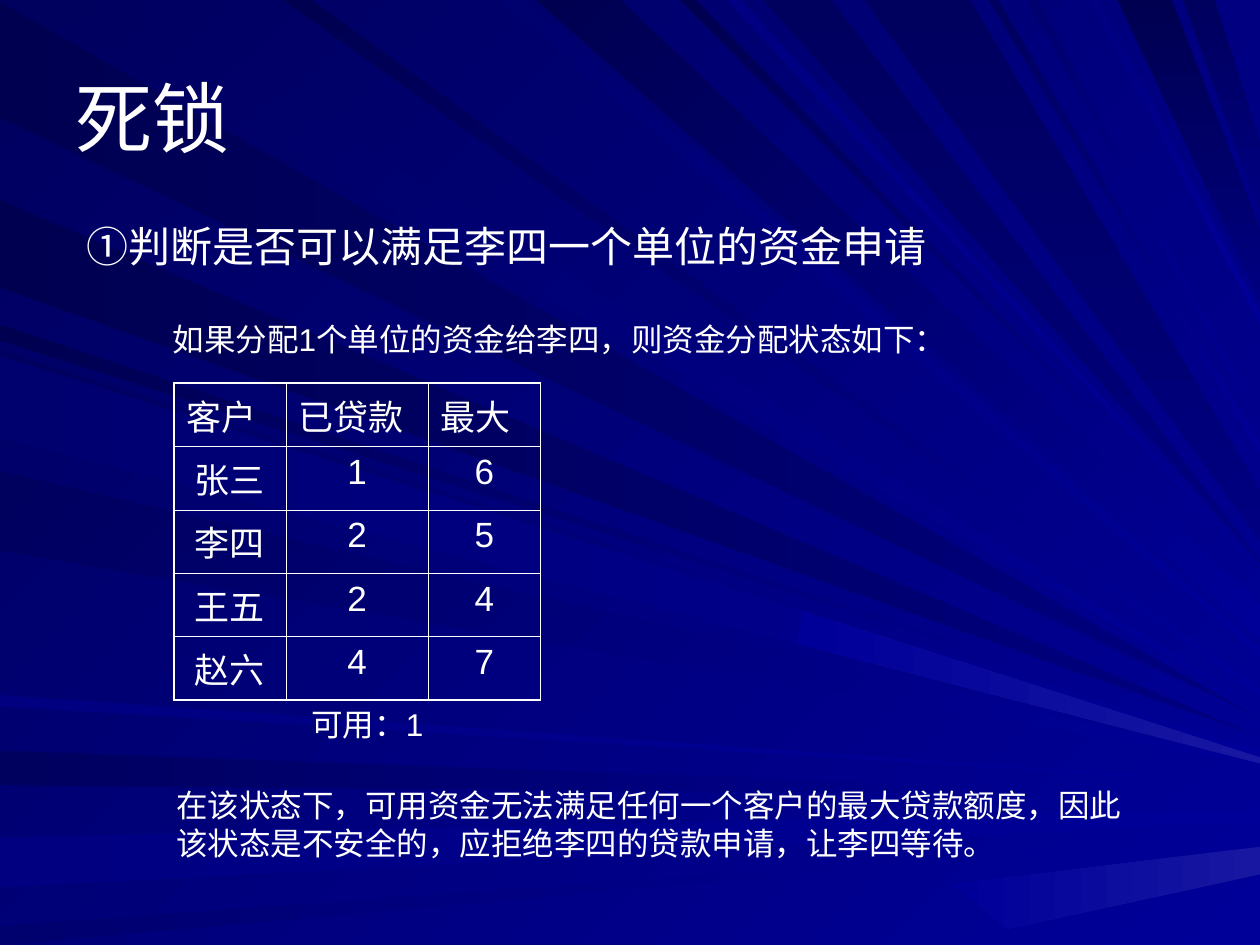
from lxml.etree import SubElement
from pptx import Presentation
from pptx.dml.color import RGBColor
from pptx.enum.text import MSO_ANCHOR, MSO_AUTO_SIZE, PP_ALIGN
from pptx.oxml.ns import qn
from pptx.util import Pt

PX = 9144  # EMU per px, 100 px to the inch
WIDTH, HEIGHT = 1000, 750
WHITE = RGBColor(0xFF, 0xFF, 0xFF)
GLOW = RGBColor(0x17, 0x17, 0xA2)
BRIGHT = RGBColor(0x00, 0x00, 0x99)
SOFT = RGBColor(0x00, 0x00, 0x80)
DIM = RGBColor(0x00, 0x00, 0x6F)
DEEP = RGBColor(0x00, 0x00, 0x5E)
DARK = RGBColor(0x00, 0x00, 0x50)
# Gradient directions, counter-clockwise
LEFT, UP_LEFT, DOWN = 180, 135, 270


def set_gradient(fill, start, end, angle):
    fill.gradient()
    fill.gradient_angle = angle
    for stop, color in zip(fill.gradient_stops, (start, end)):
        stop.color.rgb = color


def format_paragraph(paragraph, size, space_before=0, alignment=PP_ALIGN.LEFT):
    paragraph.alignment = alignment
    paragraph.space_before = Pt(space_before)
    for run in paragraph.runs:
        run.font.name = "Arial"
        run.font.size = Pt(size)
        run.font.color.rgb = WHITE


presentation = Presentation()
presentation.slide_width = WIDTH * PX
presentation.slide_height = HEIGHT * PX
slide = presentation.slides.add_slide(presentation.slide_layouts[6])

# Background
set_gradient(slide.background.fill, BRIGHT, DEEP, UP_LEFT)

# Light rays: both ends on the starting edge, then where they meet the right edge
left_rays = [
    ((2, 93, 570), SOFT, DARK, LEFT),
    ((596, 623, 632), BRIGHT, DEEP, LEFT),
    ((665, 704, 651, 643), BRIGHT, SOFT, LEFT),
    ((735, 750, 662), BRIGHT, DIM, LEFT),
    ((258, 270, 589), BRIGHT, DARK, UP_LEFT),
    ((159, 228, 585), SOFT, DARK, LEFT),
    ((278, 342, 602, 596), BRIGHT, DEEP, UP_LEFT),
    ((374, 437, 606), BRIGHT, DEEP, UP_LEFT),
    ((552, 560, 622), BRIGHT, SOFT, LEFT),
    ((283, 347, 606, 601), BRIGHT, DIM, LEFT),
]
top_rays = [
    ((26, 101, 562), BRIGHT, DEEP, UP_LEFT),
    ((398, 416, 515, 521), BRIGHT, DIM, UP_LEFT),
    ((426, 492, 479, 507), BRIGHT, DARK, UP_LEFT),
    ((540, 552, 463), BRIGHT, DARK, UP_LEFT),
    ((606, 660, 446), DEEP, SOFT, DOWN),
    ((887, 930, 183, 237), DARK, SOFT, DOWN),
    ((939, 964, 114, 167), DEEP, SOFT, DOWN),
    ((225, 247, 547, 552), BRIGHT, DARK, UP_LEFT),
    ((577, 588, 454), BRIGHT, SOFT, UP_LEFT),
    ((686, 770, 390, 428), DEEP, SOFT, DOWN),
    ((785, 792, 354, 360), BRIGHT, DEEP, UP_LEFT),
    ((815, 824, 336), BRIGHT, DIM, UP_LEFT),
    ((865, 872, 249, 258), BRIGHT, SOFT, UP_LEFT),
]
polygons = []
for rays, from_left in ((left_rays, True), (top_rays, False)):
    for (first, second, *tips), start, end, direction in rays:
        corners = [(0, edge) if from_left else (edge, 0) for edge in (first, second)]
        corners += [(WIDTH, tip) for tip in tips]
        polygons.append((corners, start, end, direction))

# Glowing ends of two rays at the right edge
polygons += [
    ([(756, 702), (WIDTH, 672), (WIDTH, 694), (800, 737)], GLOW, BRIGHT, LEFT),
    ([(637, 485), (633, 511), (WIDTH, 606), (WIDTH, 601)], GLOW, BRIGHT, LEFT),
]
for corners, start, end, direction in polygons:
    builder = slide.shapes.build_freeform(*corners[0], scale=PX)
    builder.add_line_segments(corners[1:], close=True)
    ray = builder.convert_to_shape()
    ray.shadow.inherit = False
    ray.line.fill.background()
    set_gradient(ray.fill, start, end, direction)

# Loan table
rows = [
    ("客户", "已贷款", "最大"),
    ("张三", "1", "6"),
    ("李四", "2", "5"),
    ("王五", "2", "4"),
    ("赵六", "4", "7"),
]
column_widths = [89, 113, 89]
row_heights = [46, 47, 47, 47, 50]
table = slide.shapes.add_table(
    len(rows), len(column_widths), 138 * PX, 304 * PX,
    sum(column_widths) * PX, sum(row_heights) * PX).table
table.first_row = False
table.horz_banding = False
for column, width in zip(table.columns, column_widths):
    column.width = width * PX
for row, height in zip(table.rows, row_heights):
    row.height = height * PX

for row_index, row in enumerate(rows):
    for column_index, text in enumerate(row):
        cell = table.cell(row_index, column_index)
        cell.text_frame.text = text
        alignment = PP_ALIGN.CENTER if row_index else PP_ALIGN.LEFT
        format_paragraph(cell.text_frame.paragraphs[0], 20, 5, alignment)

        # Thick outer borders, thin inner ones
        outer_sides = {
            "a:lnL": column_index == 0,
            "a:lnR": column_index == len(column_widths) - 1,
            "a:lnT": row_index == 0,
            "a:lnB": row_index == len(rows) - 1,
        }
        properties = cell._tc.get_or_add_tcPr()
        for side, is_outer in outer_sides.items():
            border = SubElement(properties, qn(side), w=str(Pt(1.08 if is_outer else 0.45)))
            border_fill = SubElement(border, qn("a:solidFill"))
            SubElement(border_fill, qn("a:srgbClr"), val=str(WHITE))
        cell.fill.background()

# Texts: box, runs, size, space before, alignment, wrap
texts = [
    ((201, 555, 181, 40), ["可用：1"], 18, 11.2, PP_ALIGN.CENTER, True),
    ((50, 30, 900, 125), ["死锁"], 44, 0, PP_ALIGN.LEFT, True),
    ((59, 170, 866, 50), ["①", "判断是否可以满足李四一个单位的资金申请"], 24, 15, PP_ALIGN.LEFT, True),
    ((121, 249, 646, 40), ["如果分配1个单位的资金给李四，则资金分配状态如下："], 18, 0, PP_ALIGN.CENTER, False),
    ((130, 619, 788, 70),
     ["在该状态下，可用资金无法满足任何一个客户的最大贷款额度，因此该状态是不安全的，应拒绝李四的贷款申请，让李四等待。"],
     18, 11.2, PP_ALIGN.LEFT, True),
]
for box, runs, size, space_before, alignment, wrap in texts:
    shape = slide.shapes.add_textbox(*(length * PX for length in box))
    text_frame = shape.text_frame
    text_frame.word_wrap = wrap
    text_frame.auto_size = MSO_AUTO_SIZE.NONE
    paragraph = text_frame.paragraphs[0]
    for text in runs:
        paragraph.add_run().text = text
    format_paragraph(paragraph, size, space_before, alignment)
    if runs[0] == "死锁":
        text_frame.vertical_anchor = MSO_ANCHOR.MIDDLE
    if runs[0] == "①":
        paragraph.runs[0].font.name = "Noto Sans CJK SC"

presentation.save("out.pptx")
